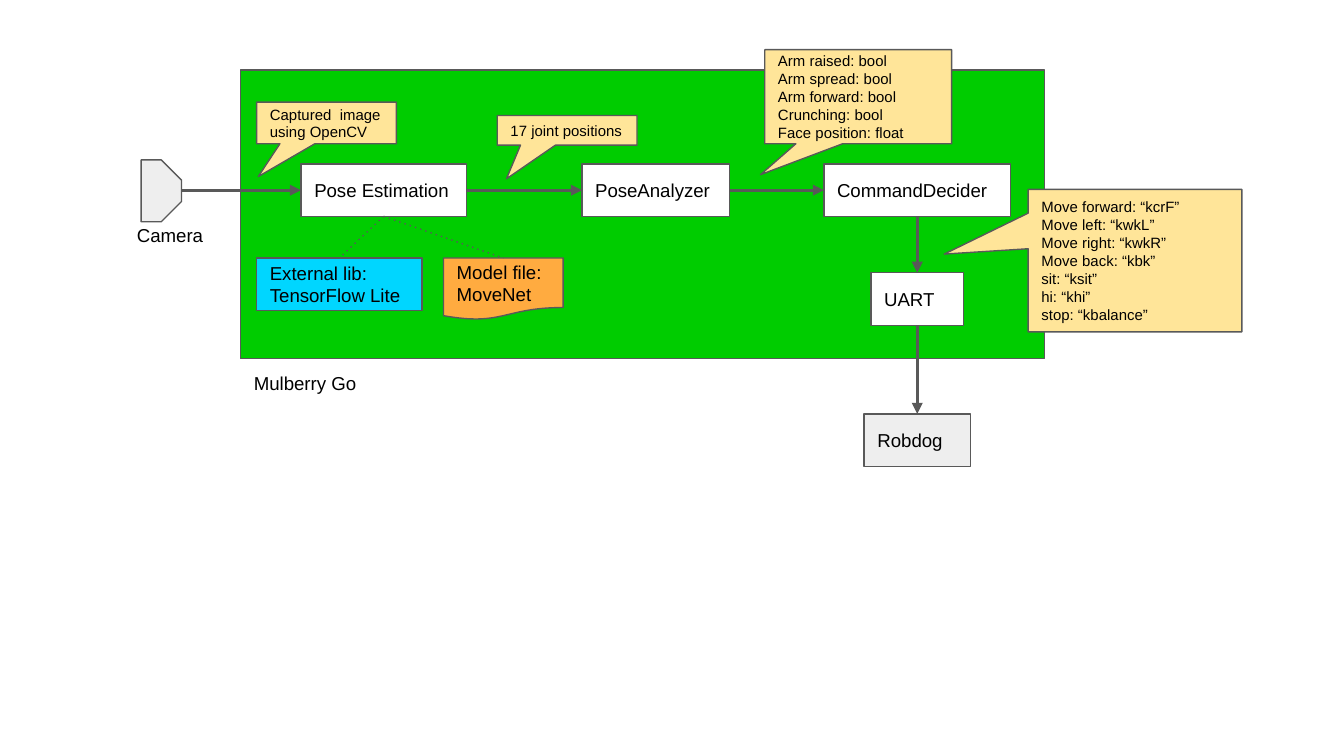
from dataclasses import dataclass

from lxml.etree import SubElement
from pptx import Presentation
from pptx.dml.color import RGBColor
from pptx.enum.shapes import MSO_CONNECTOR, MSO_SHAPE as Geo
from pptx.enum.text import MSO_ANCHOR, PP_ALIGN
from pptx.oxml.ns import qn
from pptx.shapes.autoshape import Shape
from pptx.shapes.connector import Connector
from pptx.util import Inches, Pt

BLACK = RGBColor(0x00, 0x00, 0x00)
WHITE = RGBColor(0xFF, 0xFF, 0xFF)
GRAY = RGBColor(0x59, 0x59, 0x59)
LIGHT = RGBColor(0xEE, 0xEE, 0xEE)
GREEN = RGBColor(0x00, 0xCC, 0x00)
CYAN = RGBColor(0x00, 0xD6, 0xFF)
ORANGE = RGBColor(0xFF, 0xAB, 0x40)
CREAM = RGBColor(0xFF, 0xE5, 0x99)

TOP, LEFT, BOTTOM, RIGHT = range(4)


@dataclass
class Box:
    x: float
    y: float
    w: float
    h: float
    lines: tuple[str, ...] = ()
    fill: RGBColor = WHITE
    geo: Geo = Geo.RECTANGLE
    adj: tuple[float, ...] = ()
    size: int = 10
    rotation: int = 0


@dataclass
class Link:
    start: str
    start_side: int
    end: str
    end_side: int
    dotted: bool = False


def callout(x: float, y: float, w: float, h: float,
            tip: tuple[float, float], *lines: str) -> Box:
    return Box(x, y, w, h, lines, CREAM, Geo.RECTANGULAR_CALLOUT, tip, 8)


BOARD = Box(1.79, 0.52, 5.98, 2.15, fill=GREEN)
CAMERA = Box(0.97, 1.27, 0.46, 0.3, fill=LIGHT, geo=Geo.SNIP_2_SAME_RECTANGLE,
             adj=(0.5, 0), rotation=90)
CAMERA_EDGE = 1.35
NODES = {
    "pose": Box(2.24, 1.22, 1.23, 0.39, ("Pose Estimation",)),
    "library": Box(1.91, 1.92, 1.23, 0.39, ("External lib:", "TensorFlow Lite"), CYAN),
    "analyzer": Box(4.33, 1.22, 1.1, 0.39, ("PoseAnalyzer",)),
    "decider": Box(6.13, 1.22, 1.39, 0.39, ("CommandDecider",)),
    "uart": Box(6.48, 2.03, 0.69, 0.39, ("UART",)),
    "robot": Box(6.43, 3.08, 0.79, 0.39, ("Robdog",), LIGHT),
    "model": Box(3.3, 1.92, 0.89, 0.46, ("Model file:", "MoveNet"), ORANGE,
                 Geo.FLOWCHART_DOCUMENT),
}
LINKS = [
    Link("pose", BOTTOM, "library", TOP, dotted=True),
    Link("pose", BOTTOM, "model", TOP, dotted=True),
    Link("pose", RIGHT, "analyzer", LEFT),
    Link("analyzer", RIGHT, "decider", LEFT),
    Link("decider", BOTTOM, "uart", TOP),
    Link("uart", BOTTOM, "robot", TOP),
]
CALLOUTS = [
    callout(3.7, 0.86, 1.04, 0.22, (-0.434, 1.641), "17 joint positions"),
    callout(5.69, 0.37, 1.39, 0.7, (-0.523, 0.829),
            "Arm raised: bool", "Arm spread: bool", "Arm forward: bool",
            "Crunching: bool", "Face position: float"),
    callout(7.65, 1.41, 1.59, 1.06, (-0.893, -0.046),
            "Move forward: “kcrF”", "Move left: “kwkL”", "Move right: “kwkR”",
            "Move back: “kbk”", "sit: “ksit”", "hi: “khi”", "stop: “kbalance”"),
    callout(1.91, 0.76, 1.04, 0.31, (-0.488, 1.289), "Captured  image using OpenCV"),
]
LABELS = [
    Box(0.92, 1.58, 0.69, 0.37, ("Camera",)),
    Box(1.79, 2.68, 1.01, 0.37, ("Mulberry Go",)),
]


def add_text(sp: Shape, box: Box, anchor: MSO_ANCHOR) -> None:
    tf = sp.text_frame
    tf.word_wrap = True
    tf.vertical_anchor = anchor
    tf.margin_left = tf.margin_right = tf.margin_top = tf.margin_bottom = Inches(0.1)
    for i, line in enumerate(box.lines):
        p = tf.add_paragraph() if i else tf.paragraphs[0]
        p.alignment = PP_ALIGN.LEFT
        r = p.add_run()
        r.text = line
        r.font.name = "Arial"
        r.font.size = Pt(box.size)
        r.font.color.rgb = BLACK


def add_box(s, box: Box) -> Shape:
    sp = s.shapes.add_shape(box.geo, Inches(box.x), Inches(box.y),
                            Inches(box.w), Inches(box.h))
    sp.shadow.inherit = False
    sp.rotation = box.rotation
    for i, value in enumerate(box.adj):
        sp.adjustments[i] = value
    sp.fill.solid()
    sp.fill.fore_color.rgb = box.fill
    sp.line.color.rgb = GRAY
    sp.line.width = Pt(0.75)
    if box.lines:
        add_text(sp, box, MSO_ANCHOR.MIDDLE)
    return sp


def add_label(s, box: Box) -> None:
    sp = s.shapes.add_textbox(Inches(box.x), Inches(box.y), Inches(box.w), Inches(box.h))
    add_text(sp, box, MSO_ANCHOR.TOP)


def add_line(s, x: float = 0, y: float = 0, dotted: bool = False) -> Connector:
    c = s.shapes.add_connector(MSO_CONNECTOR.STRAIGHT, Inches(x), Inches(y),
                               Inches(x), Inches(y))
    c.line.color.rgb = GRAY
    c.line.width = Pt(0.75 if dotted else 1.5)
    ln = c._element.spPr.find(qn("a:ln"))
    if dotted:
        SubElement(ln, qn("a:prstDash"), val="dot")
    else:
        SubElement(ln, qn("a:tailEnd"), type="triangle")
    SubElement(c._element.spPr, qn("a:effectLst"))
    return c


def main() -> None:
    prs = Presentation()
    prs.slide_width = Inches(10)
    prs.slide_height = Inches(10 * 9 / 16)
    s = prs.slides.add_slide(prs.slide_layouts[6])

    add_box(s, CAMERA)
    add_box(s, BOARD)
    shapes = {name: add_box(s, box) for name, box in NODES.items()}

    for link in LINKS:
        c = add_line(s, dotted=link.dotted)
        c.begin_connect(shapes[link.start], link.start_side)
        c.end_connect(shapes[link.end], link.end_side)
    pose = NODES["pose"]
    c = add_line(s, CAMERA_EDGE, pose.y + pose.h / 2)
    c.end_connect(shapes["pose"], LEFT)

    for box in CALLOUTS:
        add_box(s, box)
    for box in LABELS:
        add_label(s, box)

    prs.save("out.pptx")


if __name__ == "__main__":
    main()
